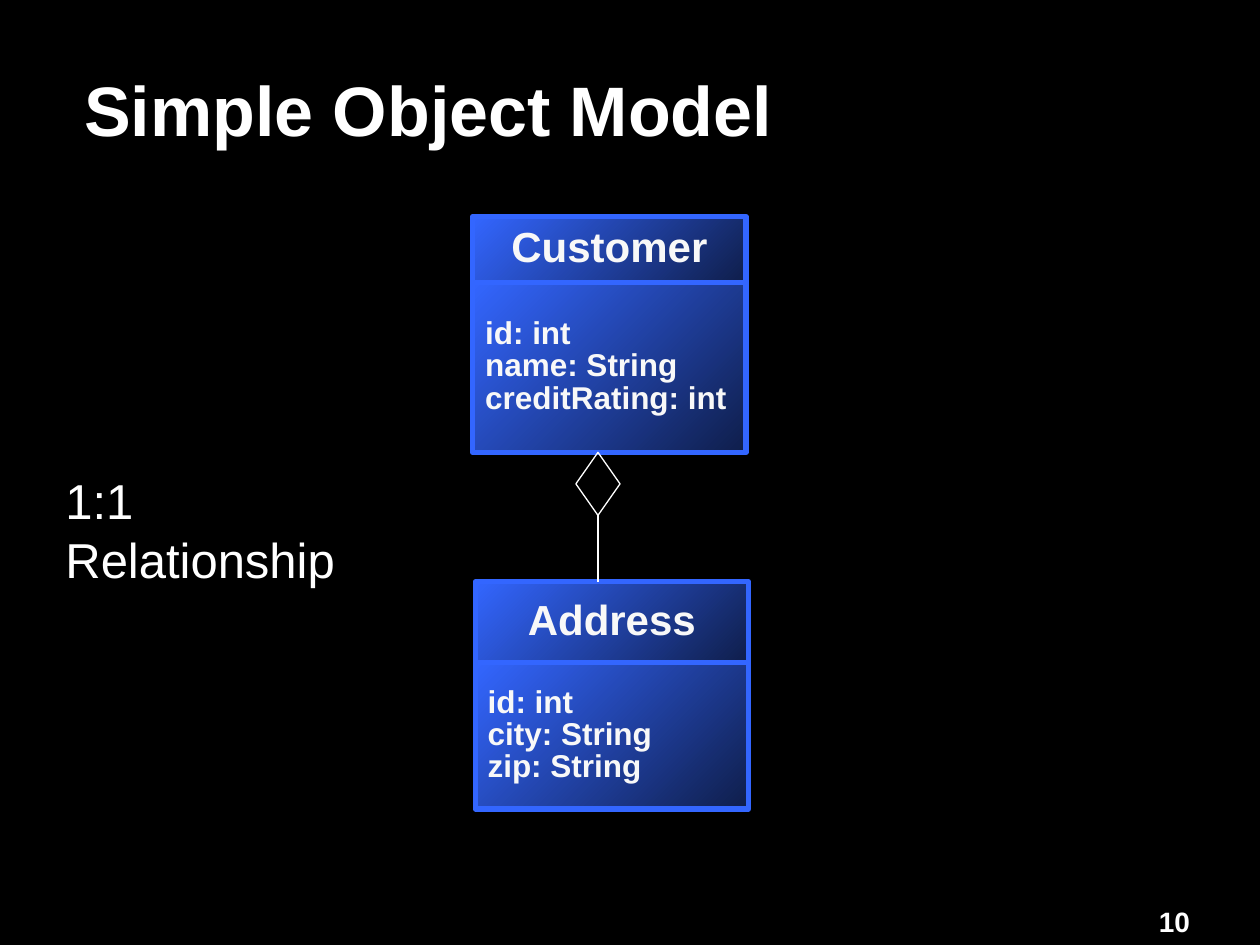
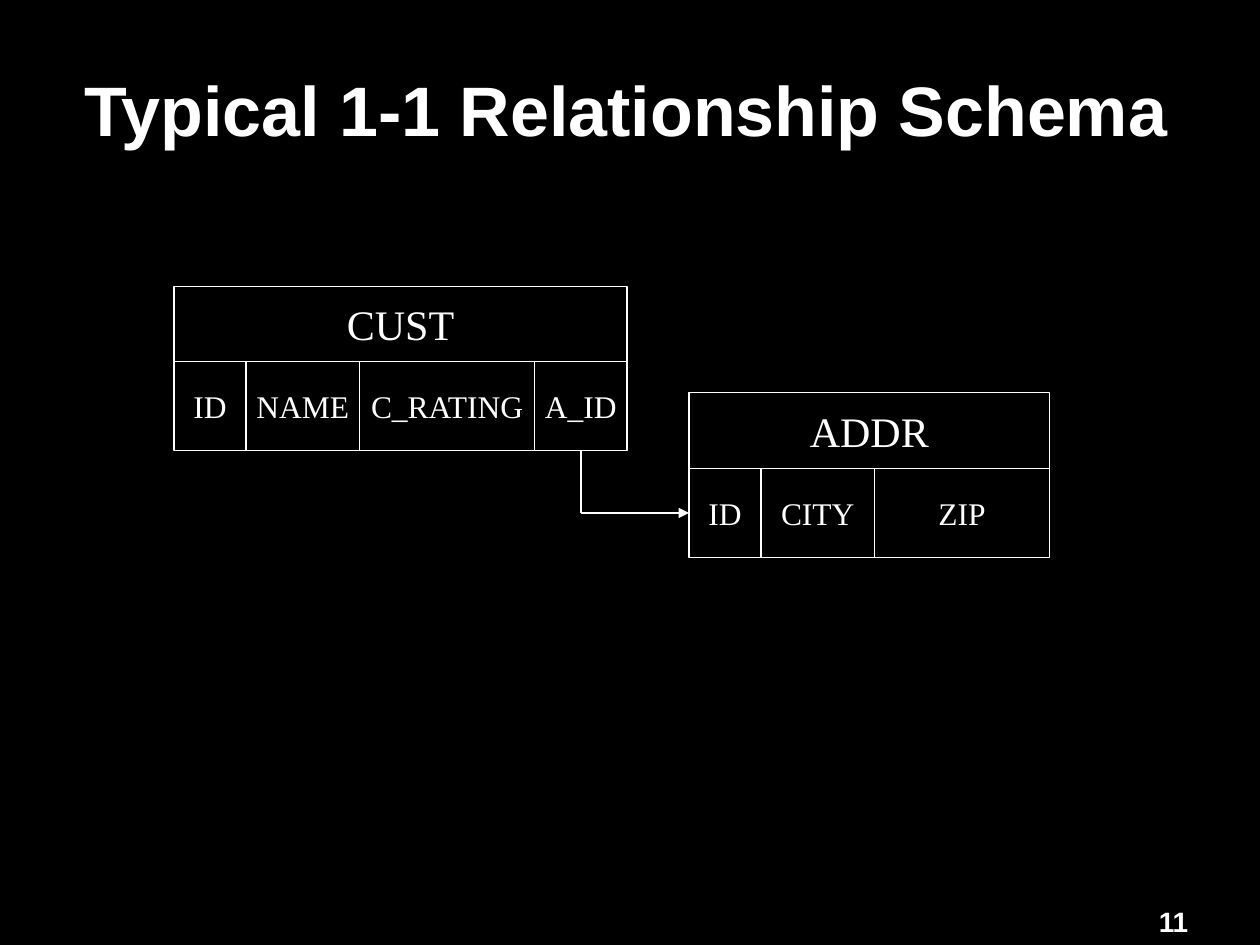
from lxml.etree import SubElement
from pptx import Presentation
from pptx.dml.color import RGBColor
from pptx.enum.shapes import MSO_CONNECTOR as Connector, MSO_SHAPE as Shape
from pptx.enum.text import MSO_ANCHOR as Anchor, MSO_AUTO_SIZE as AutoSize, PP_ALIGN as Align
from pptx.oxml.ns import qn
from pptx.util import Cm, Pt

COLORS = {"background": "000000", "text": "FFFFFF", "class_text": "F8F8F8",
          "class_line": "3366FF", "class_dark": "0F1E4B"}

# Text formats: font attributes, colour and paragraph attributes
FORMATS = {
    "title": ({"name": "Arial", "size": Pt(40), "bold": True}, "text",
              {"alignment": Align.LEFT, "line_spacing": 0.85}),
    "number": ({"name": "Arial", "size": Pt(16), "bold": True}, "text", {}),
    "label": ({"name": "Arial", "size": Pt(28)}, "text", {}),
    "class_name": ({"name": "Arial", "size": Pt(24), "bold": True}, "class_text",
                   {"alignment": Align.CENTER, "line_spacing": 0.85}),
    "class_fields": ({"name": "Arial", "size": Pt(18), "bold": True}, "class_text",
                     {"alignment": Align.LEFT, "line_spacing": 0.85}),
    "table_name": ({"name": "Times New Roman", "size": Pt(24)}, "text",
                   {"alignment": Align.CENTER}),
    "column": ({"name": "Times New Roman", "size": Pt(18)}, "text",
               {"alignment": Align.CENTER}),
}

THIN, THICK = 0.75, 3
LEFT, BOTTOM = 1, 2


def rgb(name):
    return RGBColor.from_string(COLORS[name])


def set_all(target, values):
    for name, value in values.items():
        setattr(target, name, value)


class Deck:
    def __init__(self):
        self.presentation = Presentation()
        set_all(self.presentation, {"slide_width": Cm(25.4), "slide_height": Cm(19.05)})
        fill = self.presentation.slide_master.background.fill
        fill.solid()
        fill.fore_color.rgb = rgb("background")

    def add_slide(self, title, title_width, number):
        layout = self.presentation.slide_layouts.get_by_name("Title Only")
        self.slide = self.presentation.slides.add_slide(layout)
        shape = self.slide.shapes.title
        set_all(shape, {"left": Cm(1.7), "top": Cm(0.84),
                        "width": Cm(title_width), "height": Cm(2.97)})
        set_all(shape.text_frame, {
            "margin_left": 0, "margin_right": 0, "margin_top": 0, "margin_bottom": 0,
            "vertical_anchor": Anchor.MIDDLE, "word_wrap": True, "auto_size": AutoSize.NONE})
        self.fill_text(shape, [title], "title")
        self.label(str(number), 23.11, 18.11, 3.23, 0.94, "number")

    def fill_text(self, shape, lines, style):
        font, color, layout = FORMATS[style]
        frame = shape.text_frame
        for index, line in enumerate(lines):
            paragraph = frame.add_paragraph() if index else frame.paragraphs[0]
            set_all(paragraph, layout)
            run = paragraph.add_run()
            run.text = line
            set_all(run.font, font)
            run.font.color.rgb = rgb(color)

    def label(self, text, left, top, width, height, style):
        box = self.slide.shapes.add_textbox(Cm(left), Cm(top), Cm(width), Cm(height))
        set_all(box.text_frame, {"word_wrap": False, "auto_size": AutoSize.SHAPE_TO_FIT_TEXT})
        self.fill_text(box, [text], style)

    def group(self):
        return self.slide.shapes.add_group_shape().shapes

    def outline(self, shapes, kind, left, top, width, height, color="text", weight=THIN):
        shape = shapes.add_shape(kind, Cm(left), Cm(top), Cm(width), Cm(height))
        shape.shadow.inherit = False
        shape.fill.background()
        shape.line.color.rgb = rgb(color)
        shape.line.width = Pt(weight)
        return shape

    def box(self, shapes, lines, left, top, width, height, style, **line):
        shape = self.outline(shapes, Shape.RECTANGLE, left, top, width, height, **line)
        set_all(shape.text_frame, {"word_wrap": False, "vertical_anchor": Anchor.MIDDLE})
        self.fill_text(shape, lines, style)
        return shape

    def class_box(self, name, fields, left, top, name_height, fields_height):
        shapes = self.group()
        parts = ([name], top, name_height, "class_name"), \
                (fields, top + name_height, fields_height, "class_fields")
        for lines, part_top, height, style in parts:
            shape = self.box(shapes, lines, left, part_top, 5.51, height, style,
                             color="class_line", weight=THICK)
            shape.fill.gradient()
            shape.fill.gradient_angle = 135
            for stop, color in zip(shape.fill.gradient_stops, ("class_dark", "class_line")):
                stop.color.rgb = rgb(color)

    def schema_table(self, shapes, name, columns, left, top):
        """Draw the name over a row of columns; return the column shapes."""
        name_height, column_height = 1.52, 1.8
        width = sum(column_width for _, column_width in columns)
        self.box(shapes, [name], left, top, width, name_height, "table_name")
        cells = []
        for column, column_width in columns:
            cells.append(self.box(shapes, [column], left, top + name_height,
                                  column_width, column_height, "column"))
            left += column_width
        return cells

    def line(self, shapes, start, end, begin=None, finish=None, arrow=False):
        connector = shapes.add_connector(Connector.STRAIGHT, *start, *end)
        connector.line.color.rgb = rgb("text")
        connector.line.width = Pt(THIN)
        if begin:
            connector.begin_connect(*begin)
        if finish:
            connector.end_connect(*finish)
        properties = connector._element.spPr
        if arrow:
            SubElement(properties.find(qn("a:ln")), qn("a:tailEnd"), type="triangle")
        SubElement(properties, qn("a:effectLst"))


def object_model(deck):
    deck.add_slide("Simple Object Model", 20.75, 10)
    # Classes
    deck.class_box("Customer", ["id: int", "name: String", "creditRating: int"],
                   9.53, 4.37, 1.32, 3.43)
    deck.class_box("Address", ["id: int", "city: String", "zip: String"],
                   9.58, 11.73, 1.63, 2.95)
    # Aggregation
    shapes = deck.slide.shapes
    diamond = deck.outline(shapes, Shape.FLOWCHART_DECISION, 11.61, 9.12, 0.89, 1.27)
    middle = diamond.left + diamond.width // 2
    deck.line(shapes, (middle, diamond.top + diamond.height), (middle, Cm(11.73)),
              begin=(diamond, BOTTOM))
    deck.label("1:1 Relationship", 1.07, 9.37, 7.57, 1.45, "label")


def relationship_schema(deck):
    deck.add_slide("Typical 1-1 Relationship Schema", 22.23, 11)
    shapes = deck.group()
    # Tables
    customer = deck.schema_table(
        shapes, "CUST", [("ID", 1.45), ("NAME", 2.29), ("C_RATING", 3.53), ("A_ID", 1.86)],
        3.51, 5.77)
    address = deck.schema_table(
        shapes, "ADDR", [("ID", 1.45), ("CITY", 2.29), ("ZIP", 3.53)], 13.89, 7.92)
    # Foreign key: down from A_ID, then across to the address ID
    foreign_key, address_id = customer[-1], address[0]
    start = foreign_key.left + foreign_key.width // 2, foreign_key.top + foreign_key.height
    end = address_id.left, address_id.top + address_id.height // 2
    corner = start[0], end[1]
    deck.line(shapes, start, corner, begin=(foreign_key, BOTTOM))
    deck.line(shapes, corner, end, finish=(address_id, LEFT), arrow=True)


def main():
    deck = Deck()
    object_model(deck)
    relationship_schema(deck)
    deck.presentation.save("out.pptx")


if __name__ == "__main__":
    main()
